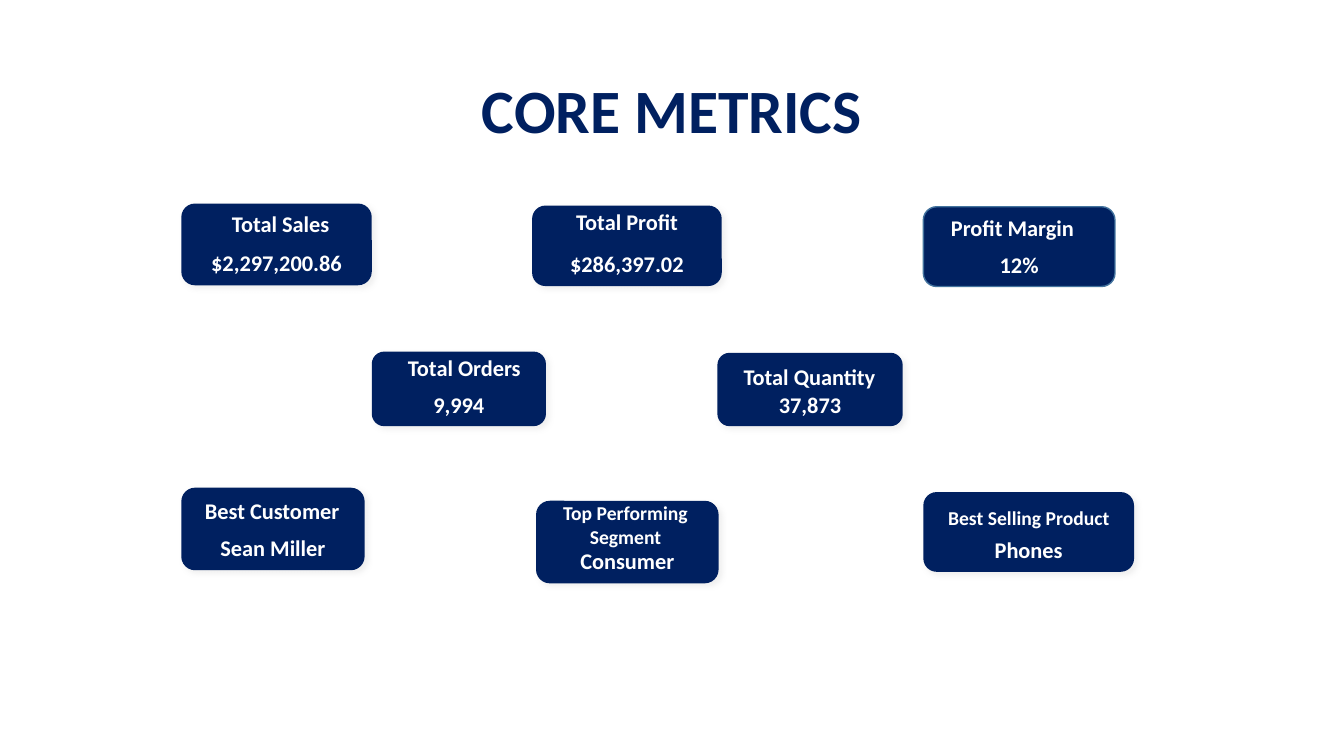
import pptx
import pptx.util
import pptx.dml.color
import pptx.enum.shapes
import pptx.enum.text
import lxml.etree

Cm = pptx.util.Cm
Pt = pptx.util.Pt
RGB = pptx.dml.color.RGBColor.from_string
ALIGN = pptx.enum.text.PP_ALIGN
ANCHOR = pptx.enum.text.MSO_ANCHOR

COLORS = {"navy": "002060", "white": "FFFFFF", "border": "43739E", "shadow": "D9D9D9"}
DRAWING = "http://schemas.openxmlformats.org/drawingml/2006/main"


def write_text(shape, text, size, color, align, anchor):
    text_frame = shape.text_frame
    text_frame.word_wrap = True
    text_frame.vertical_anchor = anchor
    text_frame.text = text
    paragraph = text_frame.paragraphs[0]
    paragraph.alignment = align
    font = paragraph.runs[0].font
    font.name = "Calibri"
    font.size = Pt(size)
    font.bold = True
    font.color.rgb = RGB(COLORS[color])


def add_soft_shadow(shape):
    effects = shape._element.spPr.find(f"{{{DRAWING}}}effectLst")
    shadow = lxml.etree.SubElement(
        effects, f"{{{DRAWING}}}outerShdw", blurRad=str(Pt(4)), dist=str(Pt(3)),
        dir="2700000", algn="tl", rotWithShape="0")
    color = lxml.etree.SubElement(shadow, f"{{{DRAWING}}}srgbClr", val=COLORS["shadow"])
    lxml.etree.SubElement(color, f"{{{DRAWING}}}alpha", val="40000")


presentation = pptx.Presentation()
presentation.slide_width = Cm(33.87)
presentation.slide_height = Cm(19.05)
slide = presentation.slides.add_slide(presentation.slide_layouts[6])

title = slide.shapes.add_textbox(Cm(2.33), Cm(1.02), Cm(29.21), Cm(3.68))
write_text(title, "CORE METRICS", 44, "navy", ALIGN.CENTER, ANCHOR.MIDDLE)
title.text_frame.paragraphs[0].line_spacing = 0.9

metrics = [
    ("Total Sales", "$2,297,200.86", (4.57, 5.13, 4.8, 2.06), (5.54, 5.16, 3.07, 0.66), 16, ALIGN.CENTER, ANCHOR.TOP),
    ("Total Profit", "$286,397.02", (13.41, 5.18, 4.78, 2.03), (14.27, 5.13, 3.2, 0.81), 16, ALIGN.LEFT, ANCHOR.TOP),
    ("Profit Margin", "12%", (23.27, 5.21, 4.83, 2.01), (23.47, 5.26, 4.09, 0.91), 16, ALIGN.CENTER, ANCHOR.TOP),
    ("Total Orders", "9,994", (9.37, 8.86, 4.39, 1.88), (10.03, 8.89, 3.38, 0.76), 16, ALIGN.LEFT, ANCHOR.MIDDLE),
    ("Total Quantity", "37,873", (18.08, 8.89, 4.67, 1.85), (18.49, 9.02, 3.89, 0.79), 16, ALIGN.LEFT, ANCHOR.TOP),
    ("Best Customer", "Sean Miller", (4.57, 12.29, 4.62, 2.08), (4.75, 12.4, 4.22, 1.09), 16, ALIGN.CENTER, ANCHOR.TOP),
    ("Top Performing Segment", "Consumer", (13.51, 12.62, 4.6, 2.08), (13.49, 12.5, 4.55, 0.76), 14, ALIGN.CENTER, ANCHOR.TOP),
    ("Best Selling Product", "Phones", (23.27, 12.4, 5.31, 2.01), (23.62, 12.62, 4.62, 0.86), 14, ALIGN.CENTER, ANCHOR.TOP),
]

for name, value, card_box, label_box, label_size, align, anchor in metrics:
    card = slide.shapes.add_shape(
        pptx.enum.shapes.MSO_SHAPE.ROUNDED_RECTANGLE, *map(Cm, card_box))
    card.fill.solid()
    card.fill.fore_color.rgb = RGB(COLORS["navy"])
    card.shadow.inherit = False
    if name == "Profit Margin":
        card.line.color.rgb = RGB(COLORS["border"])
        card.line.width = Pt(1)
    else:
        card.line.fill.background()
        add_soft_shadow(card)
    write_text(card, value, 16, "white", ALIGN.CENTER, ANCHOR.BOTTOM)

    label = slide.shapes.add_textbox(*map(Cm, label_box))
    write_text(label, name, label_size, "white", align, anchor)
    label.text_frame.margin_right = 0
    if align == ALIGN.CENTER:
        label.text_frame.margin_left = 0

presentation.save("out.pptx")
